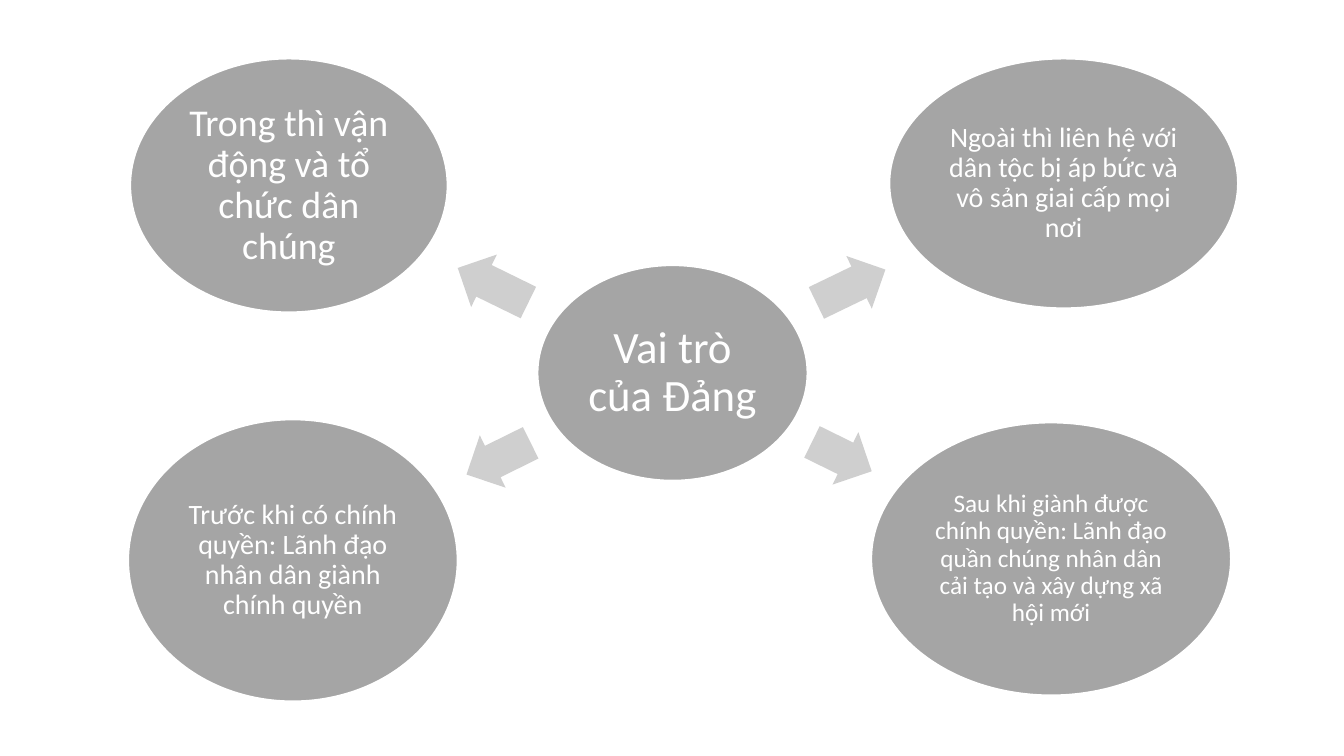
from pptx import Presentation
from pptx.dml.color import RGBColor
from pptx.enum.shapes import MSO_SHAPE as SHAPE
from pptx.enum.text import MSO_ANCHOR as ANCHOR, PP_ALIGN as ALIGN
from pptx.util import Pt

PX = 9144  # EMU per px, 100 px to the inch
COLORS = {"bubble": "A5A5A5", "arrow": "CFCFCF", "white": "FFFFFF"}


def add_filled(kind, box, color):
    s = slide.shapes.add_shape(kind, *(v * PX for v in box))
    s.shadow.inherit = False
    s.fill.solid()
    s.fill.fore_color.rgb = RGBColor.from_string(COLORS[color])
    return s


def set_text(s, text, size, inset, font="Calibri", color="white"):
    tf = s.text_frame
    tf.word_wrap = True
    tf.vertical_anchor = ANCHOR.MIDDLE
    tf.margin_left = tf.margin_right = inset * PX
    tf.margin_top = tf.margin_bottom = inset * PX
    p = tf.paragraphs[0]
    p.alignment = ALIGN.CENTER
    p.line_spacing = 0.9
    r = p.add_run()
    r.text = text
    r.font.name = font
    r.font.size = Pt(size)
    r.font.color.rgb = RGBColor.from_string(COLORS[color])


prs = Presentation()
prs.slide_width = 1333 * PX
prs.slide_height = 750 * PX
slide = prs.slides.add_slide(prs.slide_layouts[6])

# Box, text, font size, inset
bubbles = [
    ((533, 263, 268, 214), "Vai trò của Đảng", 32, 4),
    ((129, 58, 315, 252), "Trong thì vận động và tổ chức dân chúng", 27, 4),
    ((864, 419, 357, 271),
     "Sau khi giành được chính quyền: Lãnh đạo quần chúng nhân dân "
     "cải tạo và xây dựng xã hội mới", 18, 3),
    ((127, 416, 327, 280),
     "Trước khi có chính quyền: Lãnh đạo nhân dân giành chính quyền", 20, 3),
    ((882, 58, 346, 248),
     "Ngoài thì liên hệ với dân tộc bị áp bức và vô sản giai cấp mọi nơi", 20, 3),
]
for box, text, size, inset in bubbles:
    s = add_filled(SHAPE.OVAL, box, "bubble")
    s.line.color.rgb = RGBColor.from_string(COLORS["white"])
    s.line.width = Pt(1.5)
    set_text(s, text, size, inset)

# Left, top, width, rotation
arrows = [
    (450, 254, 78, 206.1),
    (802, 424, 66, 26.2),
    (459, 426, 71, 153.7),
    (806, 255, 76, 334.2),
]
for left, top, width, angle in arrows:
    s = add_filled(SHAPE.RIGHT_ARROW, (left, top, width, 58), "arrow")
    s.line.fill.background()
    s.adjustments[0] = 0.6
    s.adjustments[1] = 0.5
    s.rotation = angle

prs.save("out.pptx")
